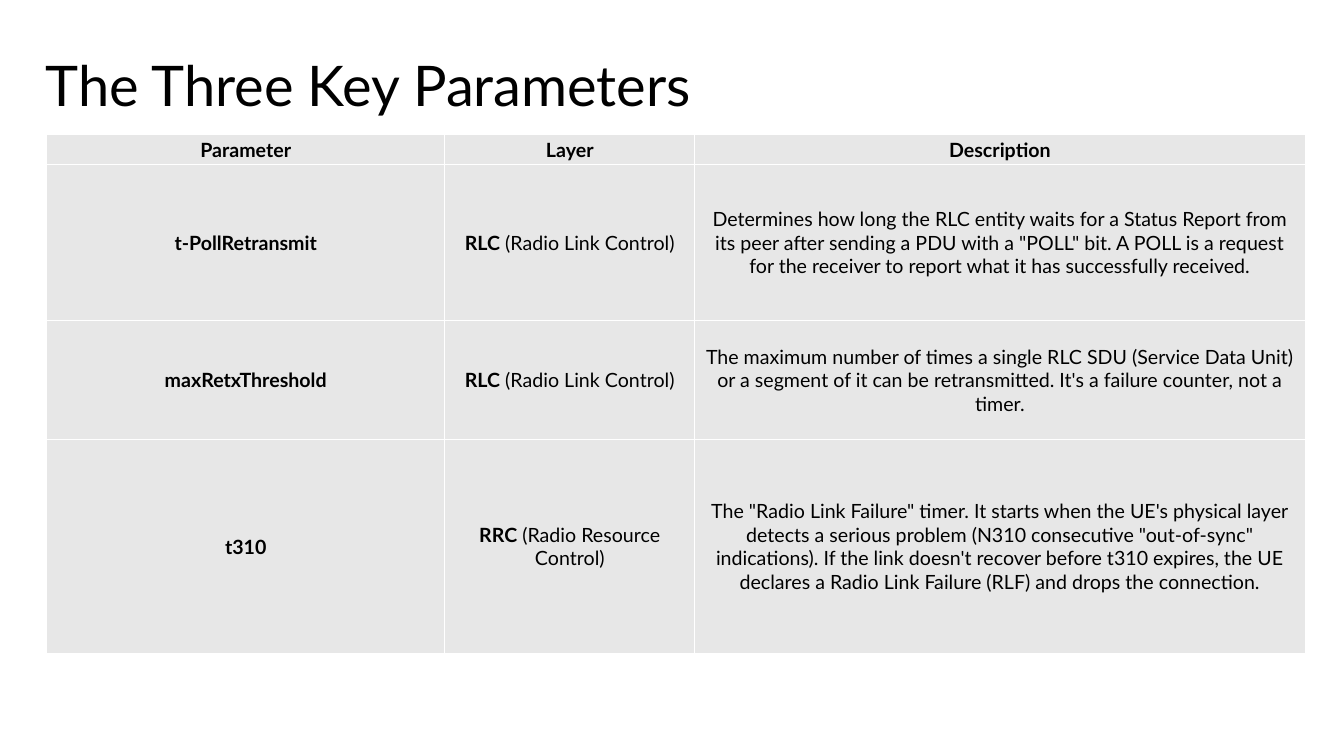
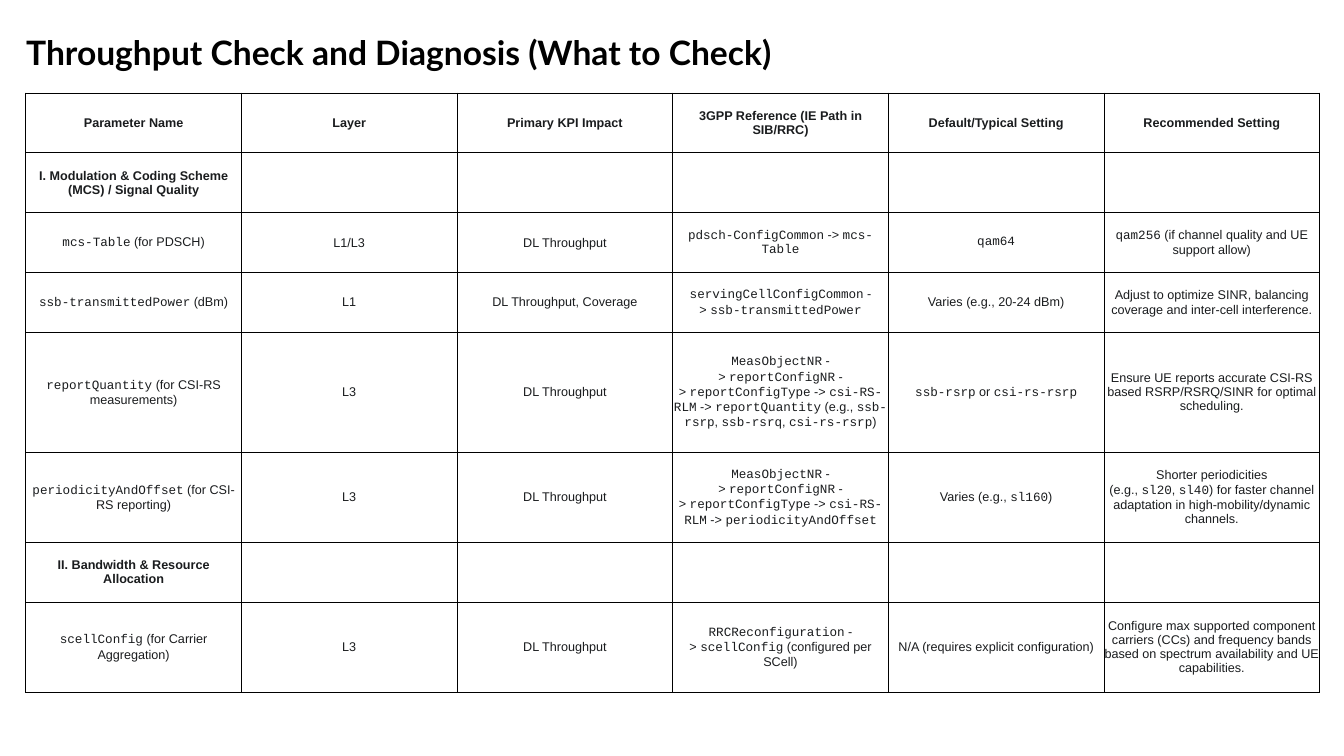
from dataclasses import dataclass

from lxml.etree import SubElement
from pptx import Presentation
from pptx.dml.color import RGBColor
from pptx.enum.text import MSO_ANCHOR, PP_ALIGN
from pptx.oxml import parse_xml
from pptx.oxml.ns import nsdecls, qn
from pptx.util import Cm, Pt


@dataclass(frozen=True)
class Theme:
    heading_font: str = "Lato"
    grid_font: str = "Arial"
    code_font: str = "Courier New"
    black: str = "000000"
    white: str = "FFFFFF"
    ink: str = "1A1C1E"
    grey: str = "E7E7E7"
    large_title: int = 40
    small_title: int = 24
    overview_text: int = 14
    grid_text: int = 9


theme = Theme()
NO_BREAK_SPACE = chr(160)


def add_title(slide, text, left, top, width, height, size):
    title = slide.shapes.add_textbox(Cm(left), Cm(top), Cm(width), Cm(height))
    title.text_frame.word_wrap = True
    paragraph = title.text_frame.paragraphs[0]
    paragraph.text = text
    paragraph.font.name = theme.heading_font
    paragraph.font.size = Pt(size)
    paragraph.font.color.rgb = RGBColor.from_string(theme.black)
    return title.text_frame


def add_grid(slide, rows, left, top, widths, heights, font, size, ink, fill,
             border, border_width, margins):
    """Add a table; *text* is bold, `text` is code, and spaces beside a mark do not break."""
    table = slide.shapes.add_table(len(rows), len(widths), Cm(left), Cm(top),
                                   Cm(sum(widths)), Cm(sum(heights))).table
    table.first_row = table.horz_banding = False
    for column, width in zip(table.columns, widths):
        column.width = Cm(width)
    for row, height, entries in zip(table.rows, heights, rows):
        row.height = Cm(height)
        for cell, entry in zip(row.cells, entries):
            cell.margin_left = cell.margin_right = Cm(margins[0])
            cell.margin_top = cell.margin_bottom = Cm(margins[1])
            cell.vertical_anchor = MSO_ANCHOR.MIDDLE
            cell.fill.solid()
            cell.fill.fore_color.rgb = RGBColor.from_string(fill)
            properties = cell._tc.get_or_add_tcPr()
            for position, side in enumerate(("lnL", "lnR", "lnT", "lnB")):
                line = parse_xml(f'<a:{side} {nsdecls("a")} w="{Pt(border_width)}"/>')
                SubElement(SubElement(line, qn("a:solidFill")), qn("a:srgbClr"), val=border)
                properties.insert(position, line)

            paragraph = cell.text_frame.paragraphs[0]
            paragraph.alignment = PP_ALIGN.CENTER
            paragraph.font.name = font
            paragraph.font.size = Pt(size)
            paragraph.font.color.rgb = RGBColor.from_string(ink)
            for mark in "*`":
                entry = entry.replace(f"{mark} ", mark + NO_BREAK_SPACE)
                entry = entry.replace(f" {mark}", NO_BREAK_SPACE + mark)
            for bold_index, section in enumerate(entry.split("*")):
                for code_index, text in enumerate(section.split("`")):
                    if not text:
                        continue
                    run = paragraph.add_run()
                    run.text = text
                    if bold_index % 2:
                        run.font.bold = True
                    if code_index % 2:
                        run.font.name = theme.code_font


presentation = Presentation()
presentation.slide_width = Cm(33.87)
presentation.slide_height = Cm(19.05)
blank = presentation.slide_layouts[6]

# The three key parameters
overview = presentation.slides.add_slide(blank)
overview_title = add_title(overview, "The Three Key Parameters",
                           0.9, 0.8, 32.15, 2.3, theme.large_title)
overview_title.vertical_anchor = MSO_ANCHOR.MIDDLE
overview_title.paragraphs[0].line_spacing = 1.2

key_parameters = [
    ("*Parameter*", "*Layer*", "*Description*"),
    ("*t-PollRetransmit*", "*RLC* (Radio Link Control)",
     "Determines how long the RLC entity waits for a Status Report from its peer after "
     'sending a PDU with a "POLL" bit. A POLL is a request for the receiver to report '
     "what it has successfully received."),
    ("*maxRetxThreshold*", "*RLC* (Radio Link Control)",
     "The maximum number of times a single RLC SDU (Service Data Unit) or a segment of "
     "it can be retransmitted. It's a failure counter, not a timer."),
    ("*t310*", "*RRC* (Radio Resource Control)",
     'The "Radio Link Failure" timer. It starts when the UE\'s physical layer detects a '
     'serious problem (N310 consecutive "out-of-sync" indications). If the link doesn\'t '
     "recover before t310 expires, the UE declares a Radio Link Failure (RLF) and drops "
     "the connection."),
]
add_grid(overview, key_parameters, left=1.18, top=3.39,
         widths=(10.03, 6.3, 15.38), heights=(0.74, 3.94, 3, 5.38),
         font=theme.heading_font, size=theme.overview_text, ink=theme.black,
         fill=theme.grey, border=theme.white, border_width=1, margins=(0.16, 0.08))

# Throughput check and diagnosis
diagnosis = presentation.slides.add_slide(blank)
diagnosis_title = add_title(diagnosis, "Throughput Check and Diagnosis (What to Check)",
                            0.41, 0.69, 29.5, 1.28, theme.small_title)
diagnosis_title.paragraphs[0].font.bold = True

csi_route = "`MeasObjectNR` -> `reportConfigNR` -> `reportConfigType` -> `csi-RS-RLM` -> "
no_details = ("",) * 5
checks = [
    ("*Parameter Name*", "*Layer*", "*Primary KPI Impact*",
     "*3GPP Reference (IE Path in SIB/RRC)*", "*Default/Typical Setting*",
     "*Recommended Setting*"),
    ("*I. Modulation & Coding Scheme (MCS) / Signal Quality*", *no_details),
    ("`mcs-Table` (for PDSCH)", "L1/L3", "DL Throughput",
     "`pdsch-ConfigCommon` -> `mcs-Table`", "`qam64`",
     "`qam256` (if channel quality and UE support allow)"),
    ("`ssb-transmittedPower` (dBm)", "L1", "DL Throughput, Coverage",
     "`servingCellConfigCommon` -> `ssb-transmittedPower`", "Varies (e.g., 20-24 dBm)",
     "Adjust to optimize SINR, balancing coverage and inter-cell interference."),
    ("`reportQuantity` (for CSI-RS measurements)", "L3", "DL Throughput",
     csi_route + "`reportQuantity` (e.g., `ssb-rsrp`, `ssb-rsrq`, `csi-rs-rsrp`)",
     "`ssb-rsrp` or `csi-rs-rsrp`",
     "Ensure UE reports accurate CSI-RS based RSRP/RSRQ/SINR for optimal scheduling."),
    ("`periodicityAndOffset` (for CSI-RS reporting)", "L3", "DL Throughput",
     csi_route + "`periodicityAndOffset`", "Varies (e.g., `sl160`)",
     "Shorter periodicities (e.g., `sl20`, `sl40`) for faster channel adaptation in "
     "high-mobility/dynamic channels."),
    ("*II. Bandwidth & Resource Allocation*", *no_details),
    ("`scellConfig` (for Carrier Aggregation)", "L3", "DL Throughput",
     "`RRCReconfiguration` -> `scellConfig` (configured per SCell)",
     "N/A (requires explicit configuration)",
     "Configure max supported component carriers (CCs) and frequency bands based on "
     "spectrum availability and UE capabilities."),
]
row_unit = 1.51
add_grid(diagnosis, checks, left=0.65, top=2.34, widths=[32.61 / 6] * 6,
         heights=[row_unit * units for units in (1, 1, 1, 1, 2, 1.5, 1, 1.5)],
         font=theme.grid_font, size=theme.grid_text, ink=theme.ink,
         fill=theme.white, border=theme.black, border_width=0.5, margins=(0, 0))

presentation.save("out.pptx")
